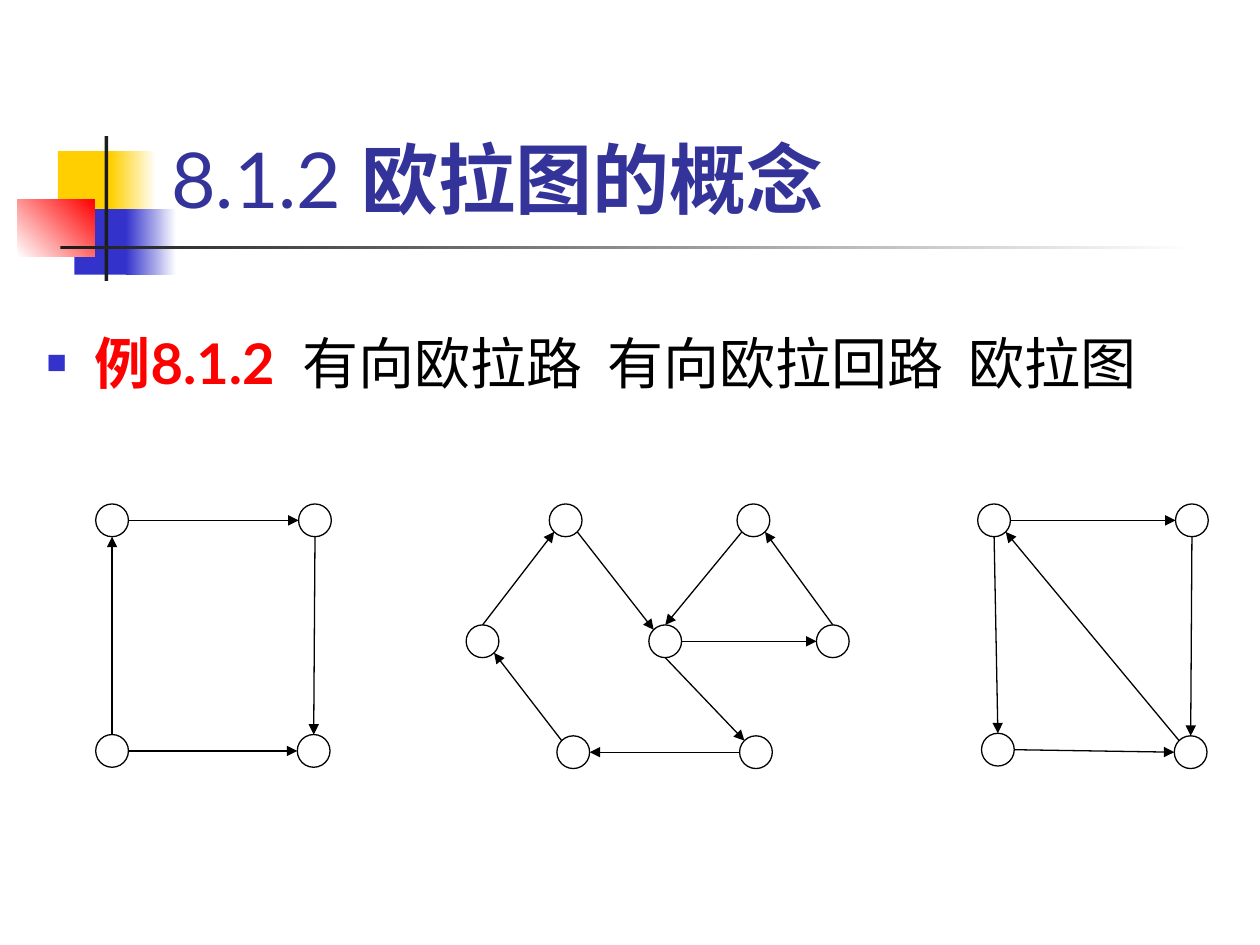
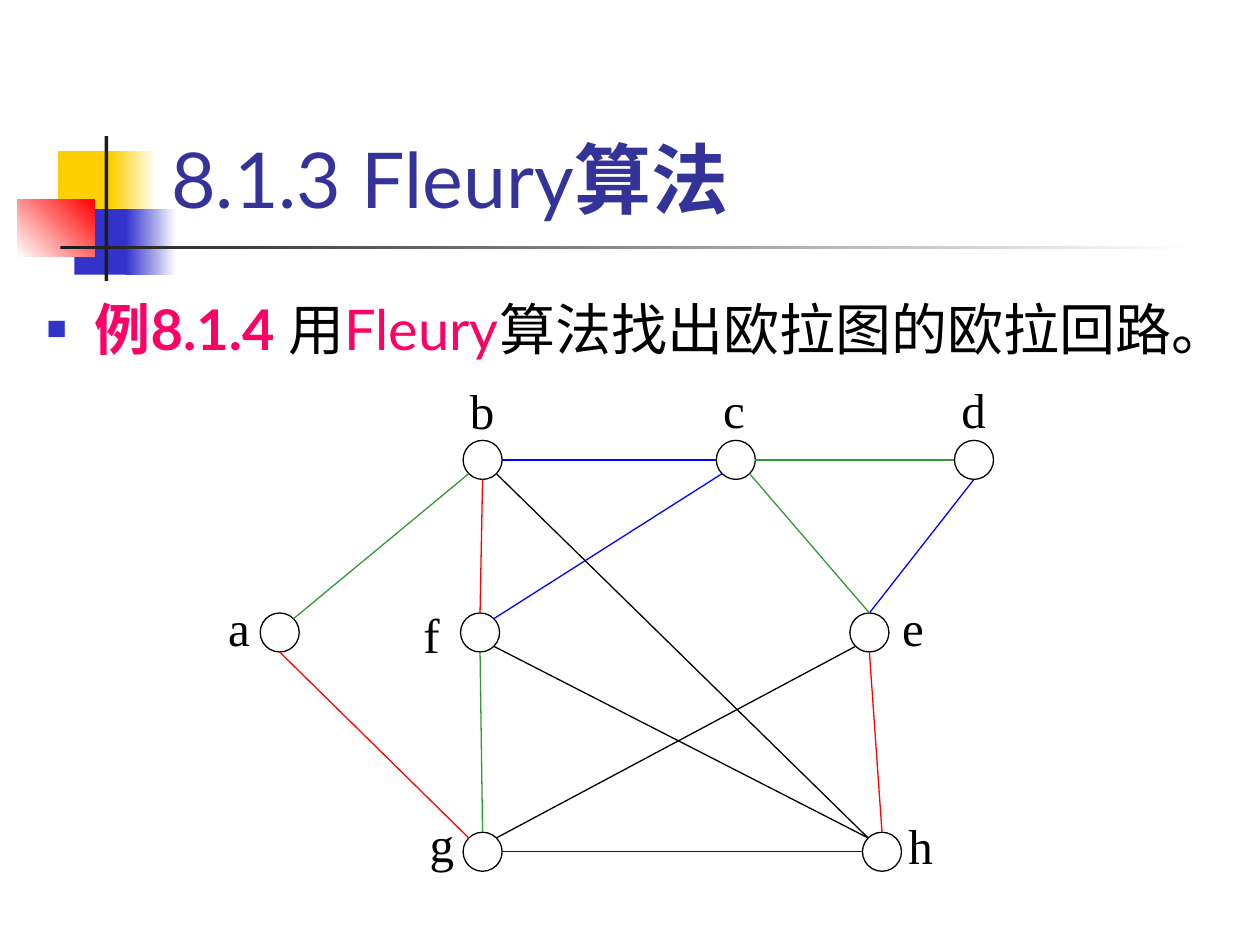
from math import cos, radians, sin

from lxml.etree import SubElement
from pptx import Presentation
from pptx.dml.color import RGBColor
from pptx.enum.shapes import MSO_CONNECTOR, MSO_SHAPE
from pptx.enum.text import MSO_ANCHOR, MSO_AUTO_SIZE, PP_ALIGN
from pptx.oxml.ns import qn
from pptx.util import Inches, Pt

COLORS = {
    "white": "FFFFFF", "black": "000000", "ink": "1C1C1C", "title": "333399",
    "yellow": "FFCF01", "indigo": "3333CC", "red": "FF0000",
    "pink": "FF0066", "blue": "0000FF", "green": "339933",
}
COLUMNS, ROWS = 100, 75
COMPASS = {name: 45 * step for step, name in enumerate("e se s sw w nw n ne".split())}

TITLE_FRAME = {"vertical_anchor": MSO_ANCHOR.BOTTOM, "auto_size": MSO_AUTO_SIZE.NONE,
               "word_wrap": True}
BODY_FRAME = TITLE_FRAME | {"vertical_anchor": MSO_ANCHOR.TOP}
LABEL_FRAME = BODY_FRAME | {
    "margin_left": Inches(0.12), "margin_right": Inches(0.12),
    "margin_top": Inches(0.06), "margin_bottom": Inches(0.06)}
TITLE_FONT = {"name": "Lato", "size": Pt(44)}
BODY_FONT = {"name": "Lato", "size": Pt(32)}
LABEL_FONT = {"name": "Times New Roman", "size": Pt(28)}

MOTIF = [
    ((4.6, 12, 4.8, 5.2), ["yellow"], 0),
    ((8.8, 12, 3.6, 5.2), ["yellow", "white"], 0),
    ((5.9, 16.6, 4.6, 5.2), ["indigo"], 0),
    ((10, 16.6, 4, 5.2), ["indigo", "white"], 0),
    ((1.4, 15.8, 6.1, 4.6), ["white", "red"], 45),
    ((8.3, 10.8, 0.3, 11.5), ["ink"], 0),
    ((4.8, 19.5, 90, 0.3), ["ink", "white"], 0),
]

EULER_NODES = {
    "path1": (8.9, 41.3), "path2": (25, 41.3), "path3": (8.9, 59.6), "path4": (24.9, 59.6),
    "left": (38.3, 50.9), "peak1": (44.9, 41.3), "hub": (52.8, 50.9), "peak2": (59.8, 41.3),
    "right": (66.1, 50.9), "base1": (45.5, 59.7), "base2": (60, 59.7),
    "loop1": (78.9, 41.3), "loop2": (94.6, 41.3), "loop3": (79.2, 59.5), "loop4": (94.5, 59.7),
}
EULER_ARCS = """
path1 e path2 w
path3 e path4 w
path3 n path1 s
path2 s path4 n
loop1 e loop2 w
loop3 e loop4 w
loop1 s loop3 n
loop2 s loop4 n
loop4 nw loop1 se
left n peak1 sw
peak1 se hub nw
peak2 sw hub n
right n peak2 se
hub e right w
base1 nw left se
base2 w base1 e
hub s base2 nw
"""

FLEURY_NODES = {
    "g": (38.3, 67.6), "h": (70, 67.6), "e": (69, 50.2), "a": (22.2, 50.2),
    "f": (38.1, 50.2), "d": (77.3, 36.5), "c": (58.4, 36.5), "b": (38.3, 36.5),
}
FLEURY_LABELS = {
    "g": (32.9, 64), "h": (70.9, 64.1), "e": (70.4, 46.8), "a": (16.9, 46.8),
    "f": (32.4, 47.4), "d": (75.1, 29.5), "c": (56.2, 29.5), "b": (36.1, 29.6),
}
FLEURY_EDGES = {
    "blue": "b e c w\ng e h w\nc sw f ne\nd s e n",
    "green": "c e d w\nb sw a ne\nf s g n\nc se e n",
    "red": "a s g nw\nb s f n\ne s h n",
    "black": "f se h nw\nb se h nw\ng ne e sw",
}


def rgb(name):
    return RGBColor.from_string(COLORS[name])


def style(target, formats):
    for name, value in formats.items():
        setattr(target, name, value)


class Deck:
    def __init__(self):
        self.presentation = Presentation()
        style(self.presentation, {"slide_width": Inches(10), "slide_height": Inches(7.5)})
        self.column = self.presentation.slide_width / COLUMNS
        self.row = self.presentation.slide_height / ROWS
        self.layout = self.presentation.slide_layouts[1]
        self.slide = None

    def grid(self, *lengths):
        return [round(length * (self.row if index % 2 else self.column))
                for index, length in enumerate(lengths)]

    def start(self, title, body, spacing):
        first = self.slide is None
        self.slide = self.presentation.slides.add_slide(self.layout)
        heading, content = self.slide.placeholders
        paragraph = self.place(heading, (12.6, 2.3, 85.2, 16), TITLE_FRAME)
        paragraph.alignment = PP_ALIGN.LEFT
        self.add_text(paragraph, title, TITLE_FONT)
        paragraph = self.place(content, (2.7, 20.2, 97.3, 54.8), BODY_FRAME)
        self.bullet(paragraph)
        style(paragraph, {"line_spacing": spacing, "space_before": Pt(0)})
        self.add_text(paragraph, body, BODY_FONT)
        if first:
            self.share_motif()

    def share_motif(self):
        for footer in list(self.layout.placeholders)[2:]:
            footer.element.getparent().remove(footer.element)
        for depth, (box, colors, angle) in enumerate(MOTIF, 2):
            band = self.shape(MSO_SHAPE.RECTANGLE, box, colors, angle=angle)
            self.layout.shapes.element.insert(depth, band.element)

    def place(self, holder, box, frame):
        style(holder, dict(zip(("left", "top", "width", "height"), self.grid(*box))))
        style(holder.text_frame, frame)
        return holder.text_frame.paragraphs[0]

    def bullet(self, paragraph):
        properties = paragraph._p.get_or_add_pPr()
        properties.set("marL", str(Inches(0.38)))
        properties.set("indent", str(-Inches(0.38)))
        color = SubElement(properties, qn("a:buClr"))
        SubElement(color, qn("a:srgbClr"), val=COLORS["indigo"])
        SubElement(properties, qn("a:buSzPct"), val="60000")
        SubElement(properties, qn("a:buChar"), char="■")

    def add_text(self, paragraph, pieces, formats):
        for text, color, bold in pieces:
            run = paragraph.add_run()
            run.text = text
            style(run.font, formats | {"bold": bold})
            run.font.color.rgb = rgb(color)

    def shape(self, kind, box, colors, outline=None, angle=0):
        shape = self.slide.shapes.add_shape(kind, *self.grid(*box))
        shape.shadow.inherit = False
        if len(colors) == 1:
            shape.fill.solid()
            shape.fill.fore_color.rgb = rgb(colors[0])
        else:
            shape.fill.gradient()
            shape.fill.gradient_angle = angle
            for stop, color in zip(shape.fill.gradient_stops, colors):
                stop.color.rgb = rgb(color)
        if outline:
            shape.line.color.rgb = rgb(outline)
            shape.line.width = Pt(0.75)
        else:
            shape.line.fill.background()
        return shape

    def label(self, text, corner):
        tag = self.shape(MSO_SHAPE.RECTANGLE, (*corner, 10.3, 10.2), ["white"], "white")
        style(tag.text_frame, LABEL_FRAME)
        paragraph = tag.text_frame.paragraphs[0]
        paragraph.alignment = PP_ALIGN.LEFT
        self.add_text(paragraph, [(text, "black", False)], LABEL_FONT)

    def nodes(self, centers, diameter):
        for x, y in centers.values():
            box = (x - diameter / 2, y - diameter / 2, diameter, diameter)
            self.shape(MSO_SHAPE.OVAL, box, ["white"], "black")

    def edges(self, listing, centers, diameter, color="black", arrow=False):
        def rim(node, side):
            x, y = centers[node]
            angle = radians(COMPASS[side])
            return self.grid(x + diameter / 2 * cos(angle), y + diameter / 2 * sin(angle))

        for entry in listing.strip().splitlines():
            origin, leaving, target, entering = entry.split()
            edge = self.slide.shapes.add_connector(
                MSO_CONNECTOR.STRAIGHT, *rim(origin, leaving), *rim(target, entering))
            edge.line.color.rgb = rgb(color)
            edge.line.width = Pt(0.75)
            if arrow:
                SubElement(edge.get_or_add_ln(), qn("a:tailEnd"), type="triangle")
            SubElement(edge.element.spPr, qn("a:effectLst"))


def euler_slide(deck):
    deck.start([("8.1.2 ", "title", False), ("欧拉图的概念", "title", True)],
               [("例8.1.2  ", "red", True),
                ("有向欧拉路  有向欧拉回路  欧拉图", "black", False)], 2.0)
    deck.nodes(EULER_NODES, 2.6)
    deck.edges(EULER_ARCS, EULER_NODES, 2.6, arrow=True)


def fleury_slide(deck):
    deck.start([("8.1.3 Fleury", "title", False), ("算法", "title", True)],
               [("例8.1.4 ", "pink", True), ("用", "black", False),
                ("Fleury", "pink", False),
                ("算法找出欧拉图的欧拉回路。", "black", False)], 1.5)
    for letter, corner in FLEURY_LABELS.items():
        deck.label(letter, corner)
    deck.nodes(FLEURY_NODES, 3.1)
    for color, listing in FLEURY_EDGES.items():
        deck.edges(listing, FLEURY_NODES, 3.1, color)


def main():
    deck = Deck()
    euler_slide(deck)
    fleury_slide(deck)
    deck.presentation.save("out.pptx")


if __name__ == "__main__":
    main()
